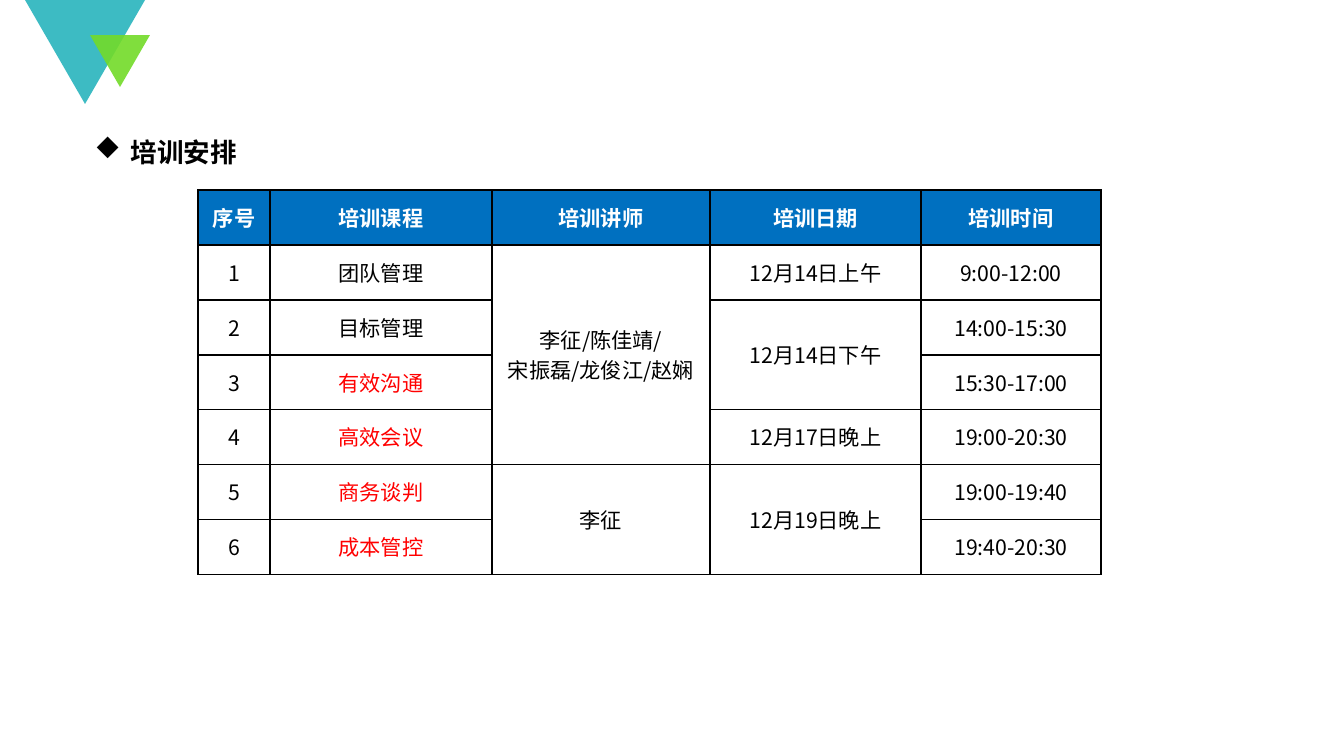
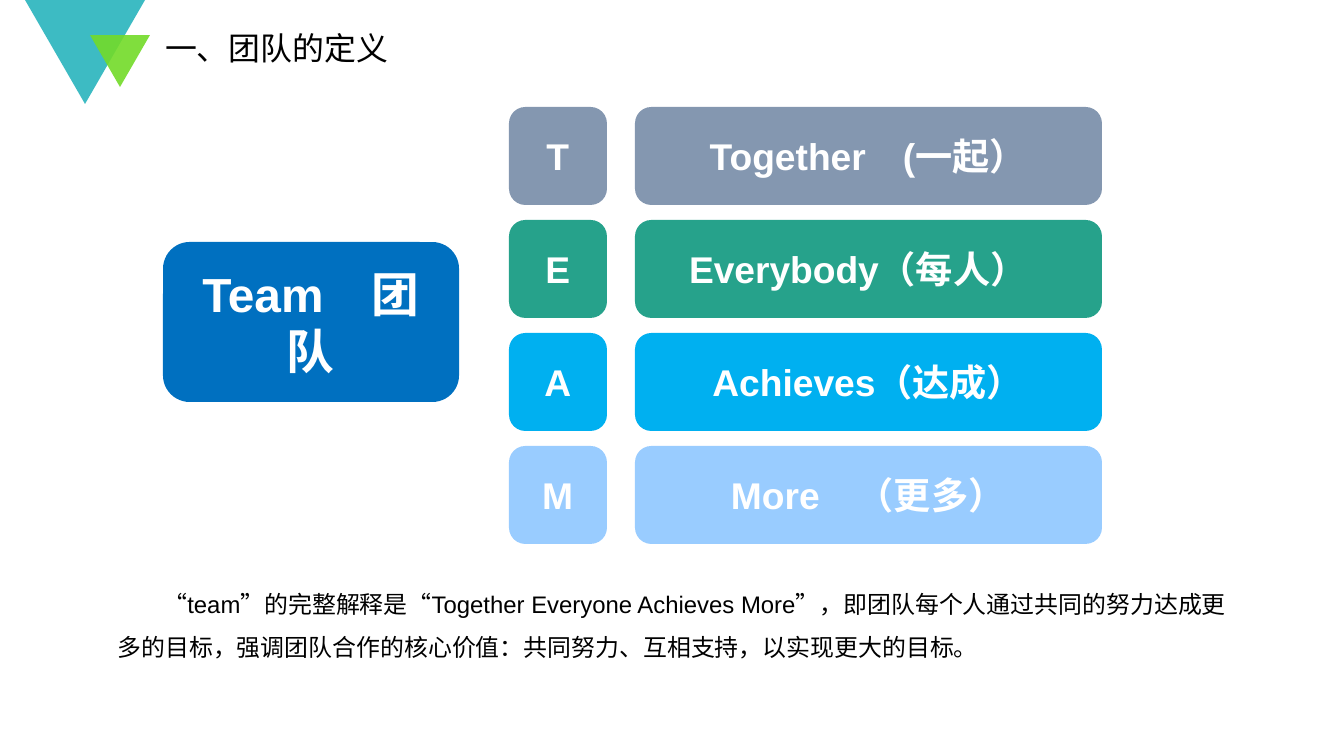
"""Build two training slides: a timetable and the meaning of TEAM."""
from lxml.etree import SubElement
from pptx import Presentation
from pptx.dml.color import RGBColor
from pptx.enum.shapes import MSO_SHAPE
from pptx.enum.text import MSO_ANCHOR, MSO_AUTO_SIZE, PP_ALIGN
from pptx.oxml.ns import qn
from pptx.util import Pt

PX = 9565
SANS = "Noto Sans CJK SC"
LATIN = "Arial"
BLACK, WHITE, RED, BLUE = "000000", "FFFFFF", "FF0000", "0070C0"

TRIANGLES = [((25, 0, 120, 104), "29B4BD"), ((90, 35, 60, 52), "73DB29")]

SCHEDULE_TITLE = "培训安排"
COLUMN_WIDTHS = [72, 222, 218, 211, 180]
ROW_HEIGHT = 55
SCHEDULE = [
    ["序号", "培训课程", "培训讲师", "培训日期", "培训时间"],
    ["1", "团队管理", "李征/陈佳靖/\n宋振磊/龙俊江/赵娴", "12月14日上午", "9:00-12:00"],
    ["2", "目标管理", None, "12月14日下午", "14:00-15:30"],
    ["3", "有效沟通", None, None, "15:30-17:00"],
    ["4", "高效会议", None, "12月17日晚上", "19:00-20:30"],
    ["5", "商务谈判", "李征", "12月19日晚上", "19:00-19:40"],
    ["6", "成本管控", None, None, "19:40-20:30"],
]
RED_COURSES = {"有效沟通", "高效会议", "商务谈判", "成本管控"}

TEAM_TITLE = "一、团队的定义"
TEAM_LABEL = "Team　团队"
TEAM_WORDS = [
    ("T", "Together　(一起）", "8497B0", 10),
    ("E", "Everybody（每人）", "26A28B", 30),
    ("A", "Achieves（达成）", "00B0F0", 10),
    ("M", "More　（更多）", "99CCFF", 10),
]
TILE_TOP, TILE_PITCH, TILE_SIZE = 107, 113, 98
TEAM_MEANING = (
    "“team”的完整解释是“Together Everyone Achieves More”，"
    "即团队每个人通过共同的努力达成更多的目标，"
    "强调团队合作的核心价值：共同努力、互相支持，以实现更大的目标。"
)


def px(*lengths):
    return [length * PX for length in lengths]


def color(value):
    return RGBColor.from_string(value)


def add_text(para, text, size, font, ink=BLACK, bold=False):
    span = para.add_run()
    span.text = text
    span.font.size = Pt(size)
    span.font.bold = bold
    span.font.name = font
    span.font.color.rgb = color(ink)
    SubElement(span.font._element, qn("a:ea")).set("typeface", SANS)


def set_indent(para, left, first):
    properties = para._p.get_or_add_pPr()
    properties.set("marL", str(left * PX))
    properties.set("indent", str(first * PX))
    return properties


def add_box(page, preset, place, fill):
    box = page.shapes.add_shape(preset, *px(*place))
    box.shadow.inherit = False
    box.fill.solid()
    box.fill.fore_color.rgb = color(fill)
    box.line.fill.background()
    return box


def add_tile(page, place, fill, text, size, right_inset=10):
    frame = add_box(page, MSO_SHAPE.ROUNDED_RECTANGLE, place, fill).text_frame
    frame.word_wrap = True
    frame.vertical_anchor = MSO_ANCHOR.MIDDLE
    frame.margin_right = right_inset * PX
    para = frame.paragraphs[0]
    para.alignment = PP_ALIGN.CENTER
    add_text(para, text, size, LATIN, WHITE, True)


def add_master_triangles(deck, page):
    tree = deck.slide_master.element.cSld.spTree
    for number, (place, fill) in enumerate(TRIANGLES, 101):
        triangle = add_box(page, MSO_SHAPE.ISOSCELES_TRIANGLE, place, fill)
        triangle.rotation = 180
        tint = triangle.element.spPr.find(qn("a:solidFill"))[0]
        SubElement(tint, qn("a:alpha")).set("val", "90000")
        triangle.element.nvSpPr.cNvPr.set("id", str(number))
        tree.append(triangle.element)


def set_title(page, place, anchor):
    title = page.shapes.title
    title.left, title.top, title.width, title.height = px(*place)
    frame = title.text_frame
    frame.word_wrap = True
    frame.auto_size = MSO_AUTO_SIZE.SHAPE_TO_FIT_TEXT
    frame.vertical_anchor = anchor
    para = frame.paragraphs[0]
    para.alignment = PP_ALIGN.LEFT
    return frame, para


def add_borders(cell):
    properties = cell._tc.get_or_add_tcPr()
    for side in ("lnL", "lnR", "lnT", "lnB"):
        line = SubElement(properties, qn(f"a:{side}"), w="12700")
        fill = SubElement(line, qn("a:solidFill"))
        SubElement(fill, qn("a:srgbClr")).set("val", BLACK)


def fill_cell(cell, text, header):
    add_borders(cell)
    if header:
        cell.fill.solid()
        cell.fill.fore_color.rgb = color(BLUE)
    else:
        cell.fill.background()
    cell.vertical_anchor = MSO_ANCHOR.MIDDLE
    cell.margin_left = cell.margin_right = 7 * PX
    cell.margin_top = cell.margin_bottom = 0
    if text is None:
        return
    ink = WHITE if header else RED if text in RED_COURSES else BLACK
    frame = cell.text_frame
    for index, line in enumerate(text.split("\n")):
        para = frame.add_paragraph() if index else frame.paragraphs[0]
        para.alignment = PP_ALIGN.CENTER
        para.line_spacing = Pt(22)
        add_text(para, line, 16, SANS, ink, header)


def add_schedule(page):
    size = (sum(COLUMN_WIDTHS), ROW_HEIGHT * len(SCHEDULE))
    table = page.shapes.add_table(
        len(SCHEDULE), len(COLUMN_WIDTHS), *px(198, 190, *size)).table
    table.first_row = table.horz_banding = False
    for column, width in zip(table.columns, COLUMN_WIDTHS):
        column.width = width * PX
    for row_index, values in enumerate(SCHEDULE):
        table.rows[row_index].height = ROW_HEIGHT * PX
        for column_index, text in enumerate(values):
            fill_cell(table.cell(row_index, column_index), text, row_index == 0)
    for column_index, values in enumerate(zip(*SCHEDULE)):
        starts = [row for row, text in enumerate(values) if text is not None]
        for start, end in zip(starts, starts[1:] + [len(values)]):
            if end - start > 1:
                table.cell(start, column_index).merge(table.cell(end - 1, column_index))


def build_schedule_page(page):
    frame, para = set_title(page, (85, 99, 665, 64), MSO_ANCHOR.TOP)
    properties = set_indent(para, 36, -36)
    SubElement(properties, qn("a:buFont")).set("typeface", "Wingdings")
    SubElement(properties, qn("a:buChar")).set("char", "u")
    para.line_spacing = 2.0
    add_text(para, SCHEDULE_TITLE, 20, SANS, bold=True)
    add_schedule(page)


def build_team_page(page):
    frame, para = set_title(page, (165, 29, 1045, 38), MSO_ANCHOR.MIDDLE)
    frame.margin_left = frame.margin_right = frame.margin_top = frame.margin_bottom = 0
    add_text(para, TEAM_TITLE, 24, LATIN)
    add_tile(page, (163, 242, 296, 160), BLUE, TEAM_LABEL, 36)
    for index, (letter, word, fill, right_inset) in enumerate(TEAM_WORDS):
        top = TILE_TOP + index * TILE_PITCH
        add_tile(page, (509, top, TILE_SIZE, TILE_SIZE), fill, letter, 28)
        add_tile(page, (635, top, 467, TILE_SIZE), fill, word, 28, right_inset)
    meaning = page.shapes.add_textbox(*px(108, 571, 1129, 92)).text_frame
    meaning.word_wrap = True
    meaning.auto_size = MSO_AUTO_SIZE.SHAPE_TO_FIT_TEXT
    para = meaning.paragraphs[0]
    set_indent(para, 0, 46)
    para.line_spacing = 1.5
    add_text(para, TEAM_MEANING, 18, LATIN)


def main():
    deck = Presentation()
    deck.slide_width, deck.slide_height = px(1344, 756)
    title_only = deck.slide_layouts[5]
    schedule_page = deck.slides.add_slide(title_only)
    add_master_triangles(deck, schedule_page)
    build_schedule_page(schedule_page)
    build_team_page(deck.slides.add_slide(title_only))
    deck.save("out.pptx")


if __name__ == "__main__":
    main()
